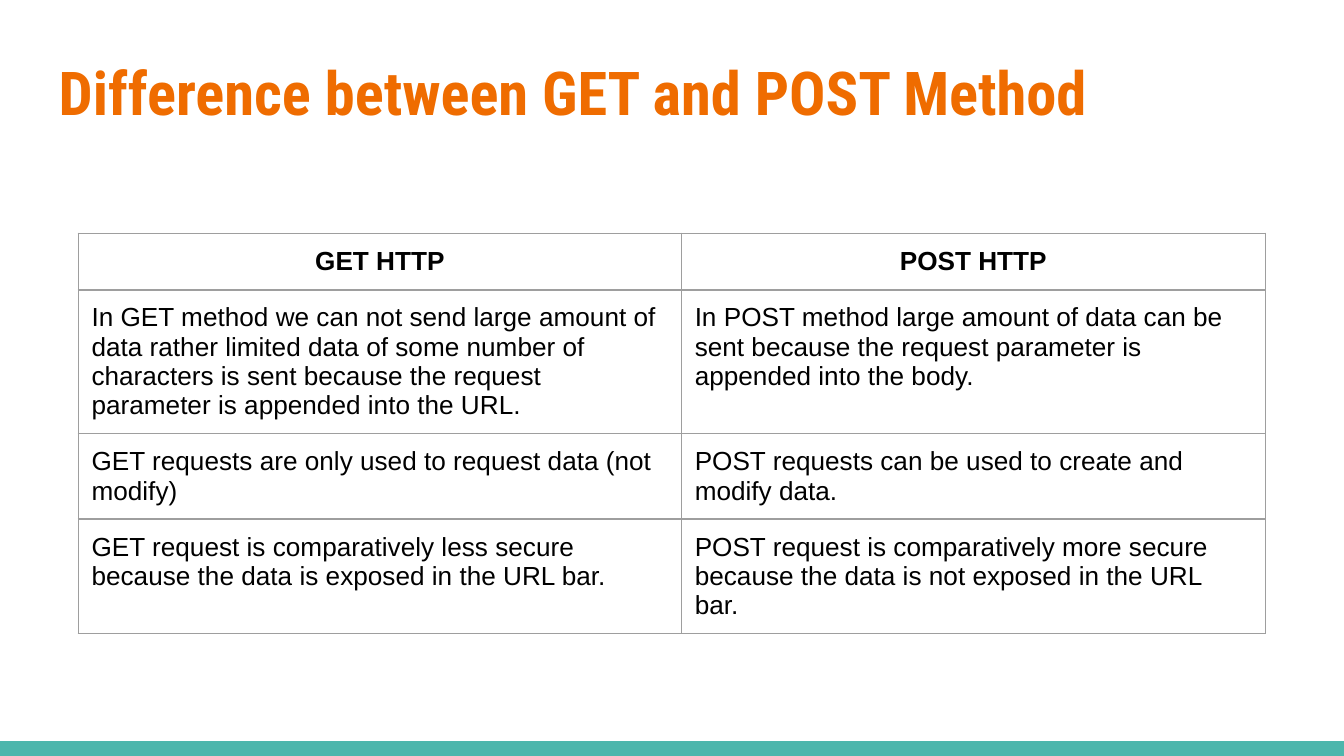
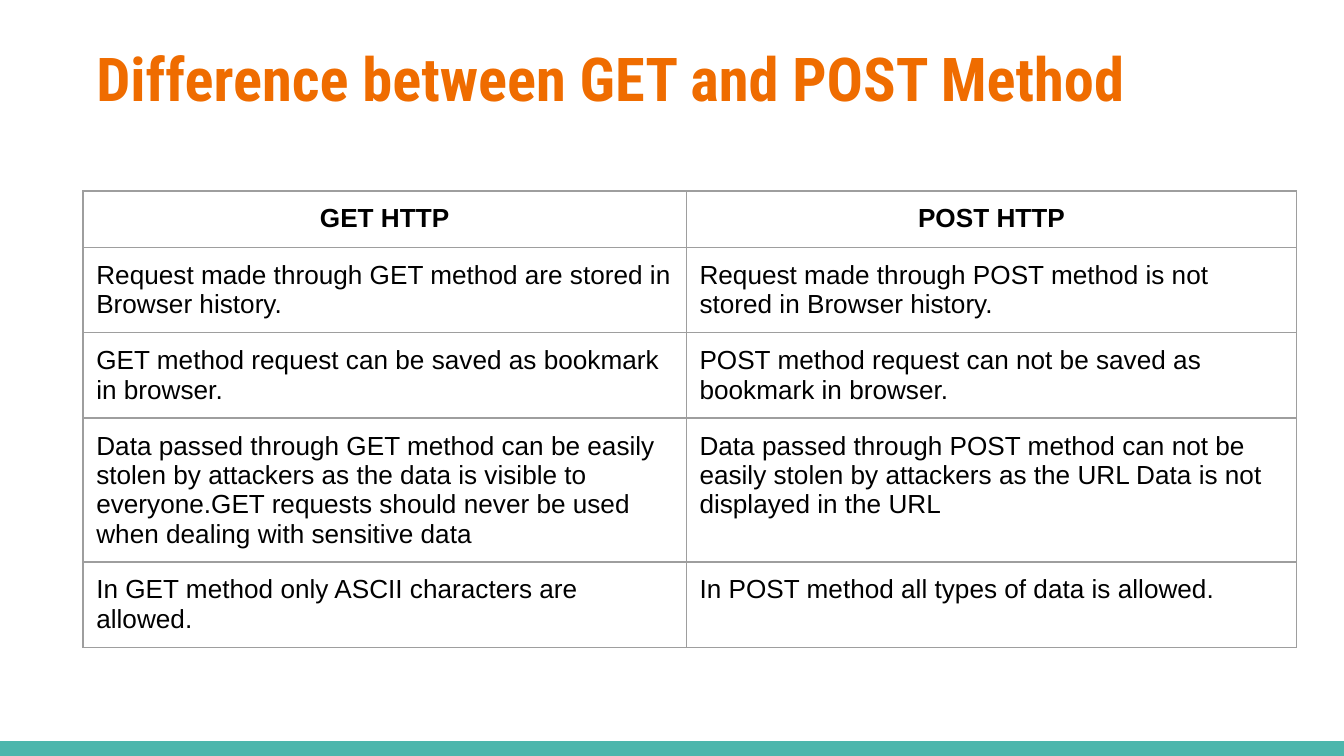
import dataclasses

import lxml.etree
import pptx
import pptx.dml.color
import pptx.enum.shapes
import pptx.enum.text
import pptx.oxml.ns
import pptx.presentation
import pptx.slide
import pptx.table
import pptx.text.text
import pptx.util

Cm = pptx.util.Cm
Pt = pptx.util.Pt
RGB = pptx.dml.color.RGBColor
Align = pptx.enum.text.PP_ALIGN


@dataclasses.dataclass(frozen=True)
class Font:
    name: str
    size: float
    color: str
    bold: bool = False


@dataclasses.dataclass(frozen=True)
class Theme:
    paper: str = "FFFFFF"
    band: str = "4DB6AC"
    rule: str = "9E9E9E"
    rule_pt: float = 0.75
    title: Font = Font("Roboto Condensed", 32.4, "EF6C00", True)
    head: Font = Font("Arial", 14, "000000", True)
    body: Font = Font("Arial", 14, "000000")


@dataclasses.dataclass(frozen=True)
class Page:
    """Title and table corners and column widths, all in centimetres."""
    title_at: tuple[float, float]
    table_at: tuple[float, float]
    widths: tuple[float, float]
    rows: tuple[tuple[str, str], ...]


THEME = Theme()
WIDTH, HEIGHT = 25.4, 14.29
BAND = 0.28
INSET = 0.25
ROW = 1.07
TITLE = "Difference between GET and POST Method"
HEADS = ("GET HTTP", "POST HTTP")

PAGES = (
    Page((0.86, 0.74), (1.48, 4.41), (11.4, 11.03), (
        ("In GET method we can not send large amount of data rather limited data of "
         "some number of characters is sent because the request parameter is "
         "appended into the URL.",
         "In POST method large amount of data can be sent because the request "
         "parameter is appended into the body."),
        ("GET requests are only used to request data (not modify)",
         "POST requests can be used to create and modify data."),
        ("GET request is comparatively less secure because the data is exposed in "
         "the URL bar.",
         "POST request is comparatively more secure because the data is not exposed "
         "in the URL bar."),
    )),
    Page((1.57, 0.48), (1.57, 3.61), (11.4, 11.54), (
        ("Request made through GET method are stored in Browser history.",
         "Request made through POST method is not stored in Browser history."),
        ("GET method request can be saved as bookmark in browser.",
         "POST method request can not be saved as bookmark in browser."),
        ("Data passed through GET method can be easily stolen by attackers as the "
         "data is visible to everyone.GET requests should never be used when "
         "dealing with sensitive data",
         "Data passed through POST method can not be easily stolen by attackers as "
         "the URL Data is not displayed in the URL"),
        ("In GET method only ASCII characters are allowed.",
         "In POST method all types of data is allowed."),
    )),
)


# Text
def write(frame: pptx.text.text.TextFrame, text: str, font: Font, align: Align) -> None:
    para = frame.paragraphs[0]
    para.alignment = align
    run = para.add_run()
    run.text = text
    run.font.name = font.name
    run.font.size = Pt(font.size)
    run.font.bold = font.bold
    run.font.color.rgb = RGB.from_string(font.color)


def pad(box: pptx.text.text.TextFrame | pptx.table._Cell) -> None:
    box.margin_left = box.margin_right = Cm(INSET)
    box.margin_top = box.margin_bottom = Cm(INSET)


# Shared frame: background, bottom band, title
def draw_base(slide: pptx.slide.Slide) -> None:
    fill = slide.background.fill
    fill.solid()
    fill.fore_color.rgb = RGB.from_string(THEME.paper)
    band = slide.shapes.add_shape(
        pptx.enum.shapes.MSO_SHAPE.RECTANGLE,
        Cm(0), Cm(HEIGHT - BAND), Cm(WIDTH), Cm(BAND))
    band.shadow.inherit = False
    band.fill.solid()
    band.fill.fore_color.rgb = RGB.from_string(THEME.band)
    band.line.fill.background()


def draw_title(slide: pptx.slide.Slide, page: Page) -> None:
    title = slide.shapes.title
    title.left, title.top = (Cm(n) for n in page.title_at)
    title.width, title.height = Cm(23.67), Cm(1.96)
    frame = title.text_frame
    frame.word_wrap = True
    frame.auto_size = pptx.enum.text.MSO_AUTO_SIZE.NONE
    frame.vertical_anchor = pptx.enum.text.MSO_ANCHOR.MIDDLE
    pad(frame)
    write(frame, TITLE, THEME.title, Align.LEFT)


# Table
def rule_cell(cell: pptx.table._Cell) -> None:
    qn = pptx.oxml.ns.qn
    props = cell._tc.get_or_add_tcPr()
    for side in ("lnL", "lnR", "lnT", "lnB"):
        line = lxml.etree.SubElement(
            props, qn(f"a:{side}"), w=str(Pt(THEME.rule_pt)))
        fill = lxml.etree.SubElement(line, qn("a:solidFill"))
        lxml.etree.SubElement(fill, qn("a:srgbClr"), val=THEME.rule)


def draw_table(slide: pptx.slide.Slide, page: Page) -> None:
    rows = (HEADS, *page.rows)
    left, top = page.table_at
    table = slide.shapes.add_table(
        len(rows), len(HEADS), Cm(left), Cm(top),
        Cm(sum(page.widths)), Cm(ROW * len(rows))).table
    table.first_row = table.horz_banding = False
    for col, width in zip(table.columns, page.widths):
        col.width = Cm(width)
    for r, texts in enumerate(rows):
        table.rows[r].height = Cm(ROW)
        font, align = ((THEME.body, Align.LEFT) if r
                       else (THEME.head, Align.CENTER))
        for c, text in enumerate(texts):
            cell = table.cell(r, c)
            pad(cell)
            rule_cell(cell)
            cell.fill.background()
            write(cell.text_frame, text, font, align)


def add_page(deck: pptx.presentation.Presentation, page: Page) -> None:
    slide = deck.slides.add_slide(deck.slide_layouts.get_by_name("Title Only"))
    draw_base(slide)
    draw_title(slide, page)
    draw_table(slide, page)


def main() -> None:
    deck = pptx.Presentation()
    deck.slide_width, deck.slide_height = Cm(WIDTH), Cm(HEIGHT)
    for page in PAGES:
        add_page(deck, page)
    deck.save("out.pptx")


if __name__ == "__main__":
    main()
